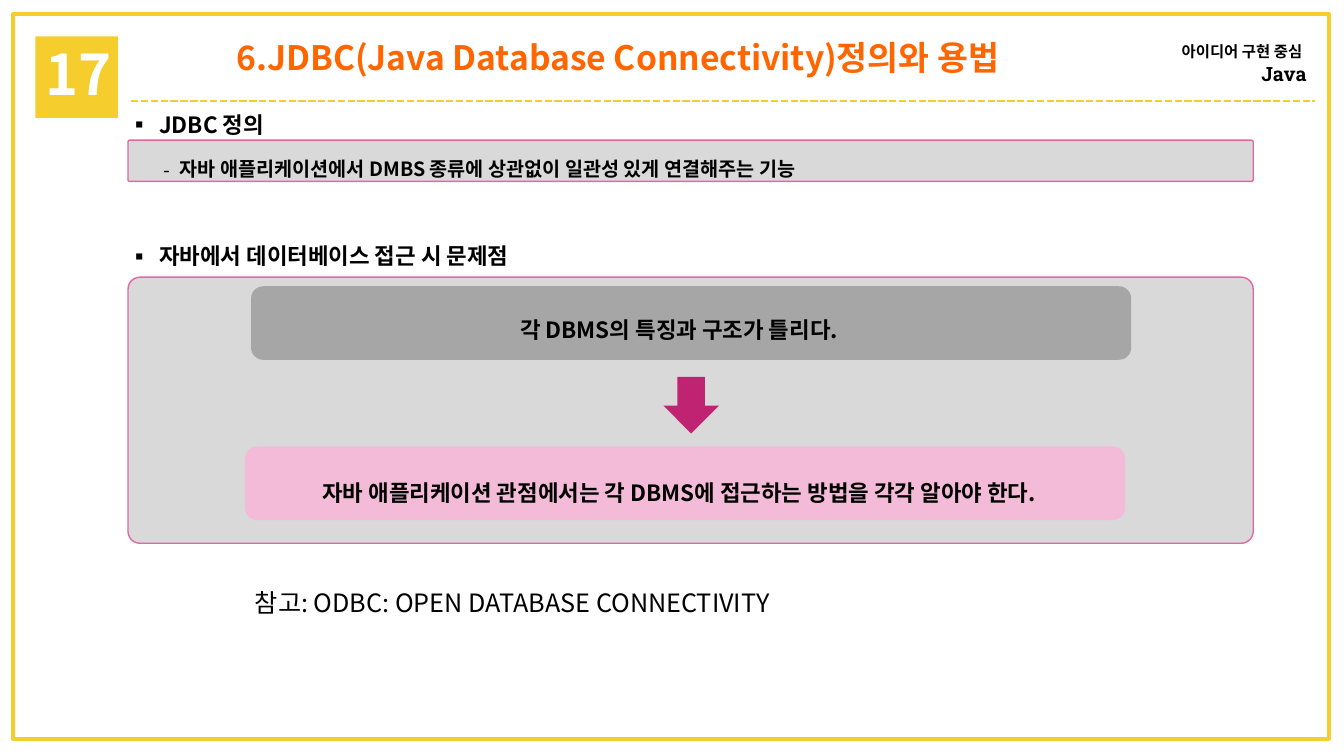
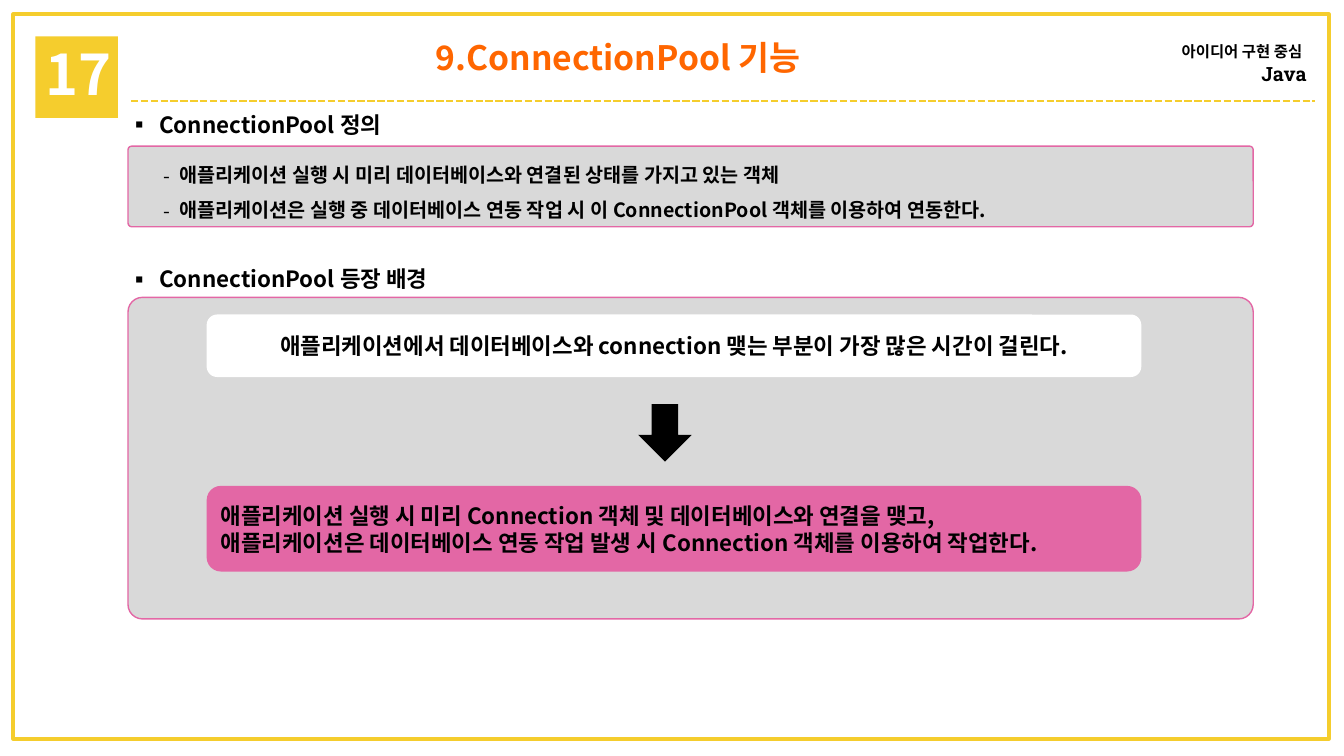
from pptx import Presentation
from pptx.dml.color import RGBColor
from pptx.enum.dml import MSO_LINE
from pptx.enum.shapes import MSO_CONNECTOR, MSO_SHAPE
from pptx.enum.text import MSO_ANCHOR, MSO_AUTO_SIZE, PP_ALIGN
from pptx.oxml.ns import qn
from pptx.util import Inches, Pt
from lxml.etree import SubElement

SANS, SLAB = "Noto Sans CJK KR", "Roboto Slab"
YELLOW, ORANGE, PINK = "F5CD2D", "FF6600", "E367A5"
BLACK, WHITE, PANEL = "000000", "FFFFFF", "D9D9D9"
SLIDE_W, SLIDE_H = 13.33, 7.5
PANEL_X, PANEL_W = 1.27, 11.16
TEXT_X, TEXT_W = 1.43, 10.51
COMPARISON = 4  # layout with a title, two headings and two lists

BODY = {"size": 16, "bold": True, "color": BLACK, "name": SANS}
TITLE = {**BODY, "size": 24, "color": ORANGE}
LIST = {**BODY, "size": 14}
NUMBER = {**BODY, "size": 40, "color": WHITE}
COURSE = {**BODY, "size": 11}
BRAND = {**LIST, "name": SLAB}
NOTE = {**BODY, "size": 18, "bold": False}


def rgb(value):
    return RGBColor.from_string(value)


def place(shape, box):
    for key, value in zip(("left", "top", "width", "height"), box):
        setattr(shape, key, Inches(value))


# Text
def add_run(p, text, fmt):
    r = p.add_run()
    r.text = text
    for key, value in fmt.items():
        if key == "color":
            r.font.color.rgb = rgb(value)
        else:
            setattr(r.font, key, Pt(value) if key == "size" else value)
    SubElement(r.font._element, qn("a:ea"), typeface=fmt["name"])


def set_bullet(p, char, margin, indent):
    pPr = p._p.get_or_add_pPr()
    pPr.set("marL", str(Inches(margin)))
    pPr.set("indent", str(Inches(indent)))
    SubElement(pPr, qn("a:buFont"), typeface=SANS)
    SubElement(pPr, qn("a:buChar"), char=char)


def write(tf, lines, fmt, align=PP_ALIGN.LEFT, spacing=1.0, bullet=None,
          anchor=MSO_ANCHOR.TOP, wrap=True):
    """Each line is a string, or a list of (text, format) runs."""
    tf.auto_size, tf.word_wrap = MSO_AUTO_SIZE.NONE, wrap
    tf.vertical_anchor = anchor
    for i, line in enumerate(lines):
        p = tf.add_paragraph() if i else tf.paragraphs[0]
        for key, value in {"alignment": align, "line_spacing": spacing,
                           "space_before": Pt(0)}.items():
            setattr(p, key, value)
        if bullet:
            set_bullet(p, *bullet)
        for text, run_fmt in [(line, fmt)] if isinstance(line, str) else line:
            add_run(p, text, run_fmt)


def add_text(s, box, lines, fmt, **options):
    tb = s.shapes.add_textbox(*map(Inches, box))
    write(tb.text_frame, lines, fmt, **options)


def fill_placeholder(s, idx, box, lines, fmt, **options):
    ph = next(ph for ph in s.placeholders if ph.placeholder_format.idx == idx)
    ph.element.getparent().append(ph.element)  # bring to front
    place(ph, box)
    write(ph.text_frame, lines, fmt, **options)


# Shapes
def add_shape(s, kind, box, fill=None, line=None, width=1, corner=None):
    sp = s.shapes.add_shape(kind, *map(Inches, box))
    sp.shadow.inherit = False
    if fill:
        sp.fill.solid()
        sp.fill.fore_color.rgb = rgb(fill)
    else:
        sp.fill.background()
    if line:
        sp.line.color.rgb = rgb(line)
        sp.line.width = Pt(width)
    else:
        sp.line.fill.background()
    if corner is not None:
        sp.adjustments[0] = corner
    return sp


def add_panel(s, box):
    add_shape(s, MSO_SHAPE.ROUNDED_RECTANGLE, box, PANEL, PINK, corner=0.045)


# Frame, number, rule, course name and title
def draw_frame(s, title):
    add_shape(s, MSO_SHAPE.RECTANGLE, (0.13, 0.14, 13.05, 7.19),
              line=YELLOW, width=2.5)
    add_shape(s, MSO_SHAPE.RECTANGLE, (0.35, 0.36, 0.82, 0.81), YELLOW)
    add_text(s, (0.35, 0.34, 0.97, 0.77), ["17"], NUMBER)
    rule = s.shapes.add_connector(MSO_CONNECTOR.STRAIGHT, *map(Inches, (1.3, 1, 13.04, 1)))
    rule.line.color.rgb = rgb(YELLOW)
    rule.line.width = Pt(1.75)
    rule.line.dash_style = MSO_LINE.SQUARE_DOT
    SubElement(rule._element.spPr, qn("a:effectLst"))
    course = [("아이디어 구현 중심", COURSE), (" ", {**LIST, "bold": False})]
    add_text(s, (11.09, 0.33, 1.97, 0.57), [course, [("Java", BRAND)]], COURSE,
             align=PP_ALIGN.RIGHT)
    fill_placeholder(s, 0, (TEXT_X, 0.32, 9.4, 0.5), [title], TITLE,
                     align=PP_ALIGN.CENTER)


def draw_heading(s, idx, y, text):
    fill_placeholder(s, idx, (1.17, y, 10.48, 0.37), [text], BODY,
                     bullet=("▪", 0.31, -0.31))


# Definition: a panel with a dashed list
def draw_definition(s, y, h, lines):
    add_panel(s, (PANEL_X, y, PANEL_W, h))
    fill_placeholder(s, 2, (TEXT_X, y, TEXT_W, h), lines, LIST, spacing=1.5,
                     bullet=("-", 0.25, -0.16))


# Cause and effect: a panel with two bars and an arrow, placed from its corner
def draw_flow(s, y, h, bars, arrow, arrow_color):
    add_panel(s, (PANEL_X, y, PANEL_W, h))
    for (dx, dy, bar_w, bar_h), color, lines, align, text_dy in bars:
        bar = add_shape(s, MSO_SHAPE.ROUNDED_RECTANGLE,
                        (PANEL_X + dx, y + dy, bar_w, bar_h), color)
        if text_dy is None:
            write(bar.text_frame, lines, BODY, align=align,
                  anchor=MSO_ANCHOR.MIDDLE)
        else:
            add_text(s, (TEXT_X + 0.05, y + text_dy, TEXT_W, 0.45), lines, BODY,
                     align=align, spacing=1.5)
    dx, dy, arrow_w, arrow_h = arrow
    add_shape(s, MSO_SHAPE.DOWN_ARROW,
              (PANEL_X + dx, y + dy, arrow_w, arrow_h), arrow_color)


def new_slide(prs, title):
    s = prs.slides.add_slide(prs.slide_layouts[COMPARISON])
    spare = next(ph for ph in s.placeholders if ph.placeholder_format.idx == 4)
    spare.element.getparent().remove(spare.element)
    draw_frame(s, title)
    return s


def jdbc_slide(prs):
    s = new_slide(prs, "6.JDBC(Java Database Connectivity)정의와 용법")
    draw_heading(s, 1, 1.05, "JDBC 정의")
    draw_definition(s, 1.39, 0.41, [
        "자바 애플리케이션에서 DMBS 종류에 상관없이 일관성 있게 연결해주는 기능"])
    draw_heading(s, 3, 2.35, "자바에서 데이터베이스 접근 시 문제점")
    draw_flow(s, 2.75, 2.64, [
        ((1.22, 0.09, 8.73, 0.73), "A6A6A6",
         ["각 DBMS의 특징과 구조가 틀리다."], PP_ALIGN.CENTER, 0.2),
        ((1.16, 1.68, 8.73, 0.73), "F3BBD7",
         ["자바 애플리케이션 관점에서는 각 DBMS에 접근하는 방법을 각각 알아야 한다."],
         PP_ALIGN.CENTER, 1.82),
    ], (5.31, 0.99, 0.55, 0.56), "BF2371")
    add_text(s, (2.43, 5.78, 5.44, 0.4),
             ["참고: ODBC: OPEN DATABASE CONNECTIVITY"], NOTE, wrap=False)


def pool_slide(prs):
    s = new_slide(prs, "9.ConnectionPool 기능")
    draw_heading(s, 1, 1.05, "ConnectionPool 정의")
    draw_definition(s, 1.45, 0.8, [
        "애플리케이션 실행 시 미리 데이터베이스와 연결된 상태를 가지고 있는 객체",
        "애플리케이션은 실행 중 데이터베이스 연동 작업 시 이 ConnectionPool 객체를 이용하여 연동한다."])
    draw_heading(s, 3, 2.58, "ConnectionPool 등장 배경")
    draw_flow(s, 2.95, 3.19, [
        ((0.78, 0.17, 9.27, 0.62), WHITE,
         ["애플리케이션에서 데이터베이스와 connection 맺는 부분이 가장 많은 시간이 걸린다."],
         PP_ALIGN.CENTER, None),
        ((0.78, 1.87, 9.27, 0.85), PINK,
         ["애플리케이션 실행 시 미리 Connection 객체 및 데이터베이스와 연결을 맺고,",
          "애플리케이션은 데이터베이스 연동 작업 발생 시 Connection 객체를 이용하여 작업한다."],
         PP_ALIGN.LEFT, None),
    ], (5.06, 1.06, 0.53, 0.57), BLACK)


def main():
    prs = Presentation()
    prs.slide_width, prs.slide_height = Inches(SLIDE_W), Inches(SLIDE_H)
    jdbc_slide(prs)
    pool_slide(prs)
    prs.save("out.pptx")


if __name__ == "__main__":
    main()
